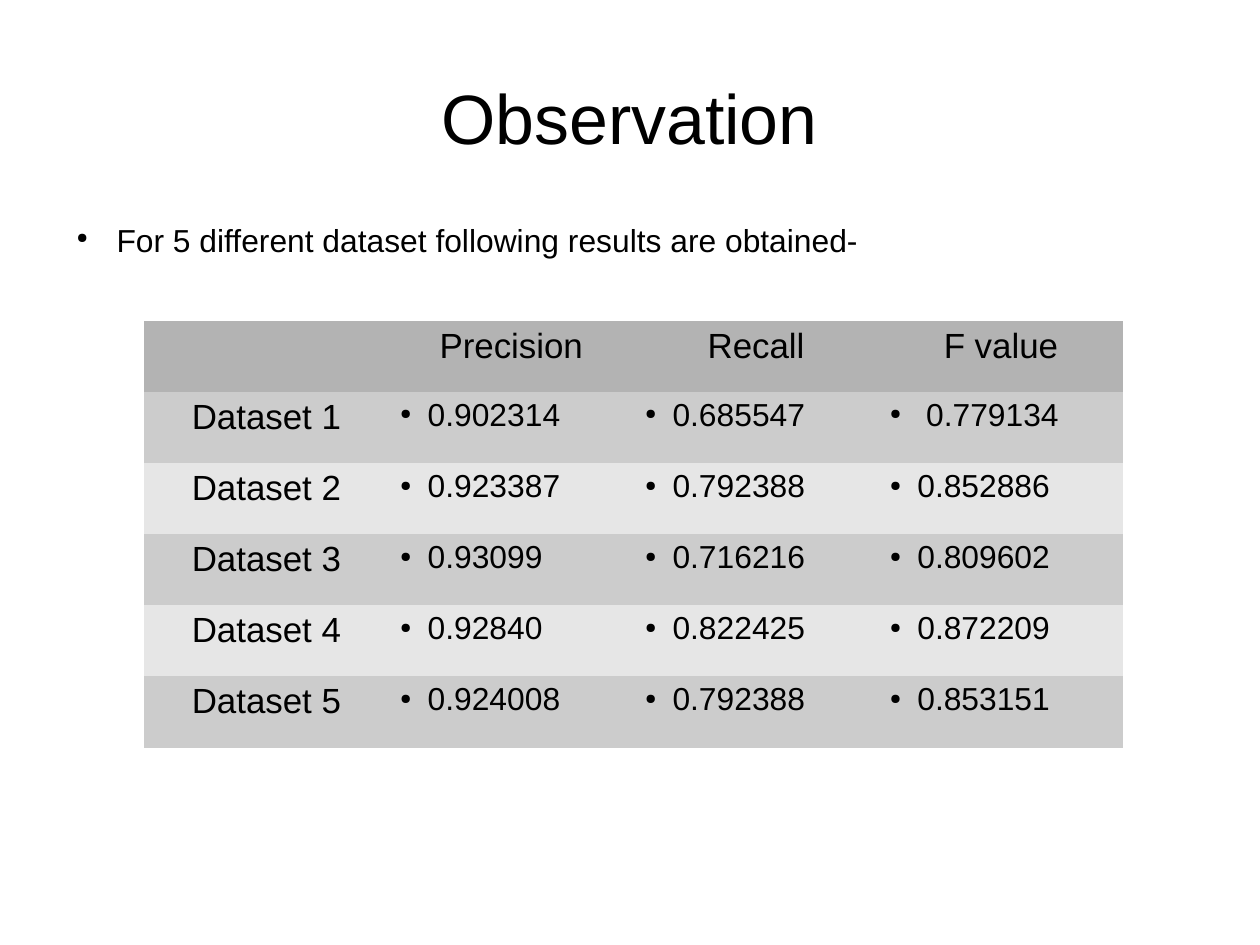
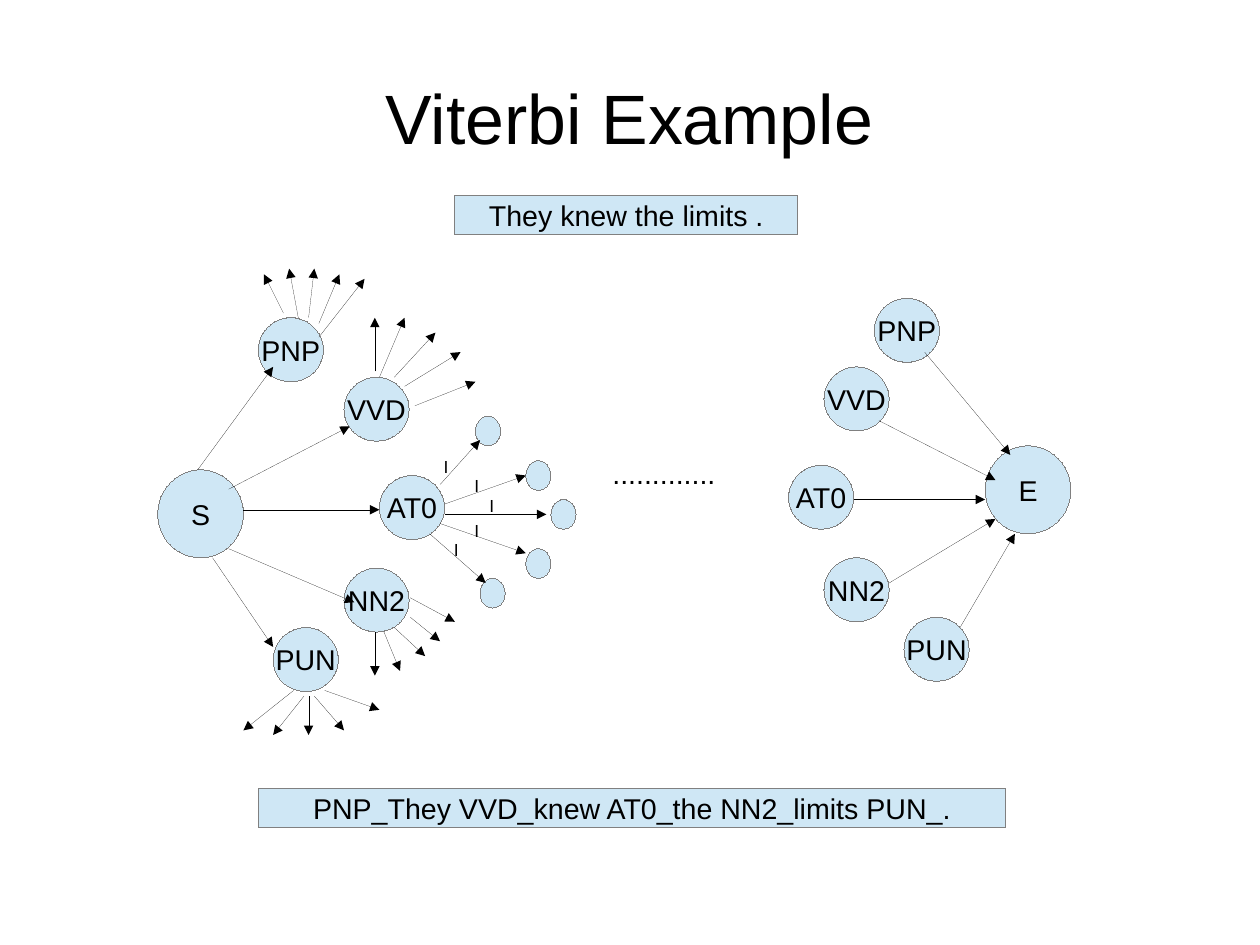
from dataclasses import dataclass

from lxml import etree
from pptx import Presentation
from pptx import util as u
from pptx.dml.color import RGBColor
from pptx.enum import shapes, text
from pptx.oxml.ns import qn

PX = 9144  # 100 px to the inch
WIDE, HIGH = 10080625, 7559675  # slide size in EMU, 28 by 21 cm


@dataclass(frozen=True)
class Theme:
    font: str = "Arial"
    ink: str = "000000"
    edge: str = "808080"
    node: str = "CFE7F5"
    head: str = "B3B3B3"
    bands: tuple = ("CCCCCC", "E6E6E6")
    title: int = 44
    cell: int = 22
    body: int = 20
    label: int = 18
    small: int = 11


T = Theme()
MID = text.PP_ALIGN.CENTER
PLAIN = "{2D5ABB26-0587-4C30-8999-92F81FD0307C}"  # table style without grid

# Slide 1: results
HEADS = ("", "Precision", "Recall", "F value")
ROWS = (
    ("Dataset 1", "0.902314", "0.685547", " 0.779134"),
    ("Dataset 2", "0.923387", "0.792388", "0.852886"),
    ("Dataset 3", "0.93099", "0.716216", "0.809602"),
    ("Dataset 4", "0.92840", "0.822425", "0.872209"),
    ("Dataset 5", "0.924008", "0.792388", "0.853151"),
)

# Slide 2: left and top of each state, start side then end side
TAGS = ("PNP", "VVD", "AT0", "NN2", "PUN")
SIDES = (
    ((226, 278), (301, 330), (332, 416), (301, 497), (239, 549)),
    ((765, 261), (721, 321), (690, 407), (721, 488), (791, 540)),
)
ENDS = (("S", 138, 411), ("E", 862, 390))
DOTS = ((416, 364), (460, 480), (482, 437), (460, 403), (420, 506))
MARKS = ((385, 394), (412, 411), (425, 428), (412, 450), (394, 467))

# Arrows by the node they leave or enter: x1, y1, x2, y2
ARROWS = {
    "S": ((173, 411, 239, 321), (200, 428, 306, 373), (213, 446, 332, 446),
          (200, 480, 310, 527), (186, 488, 239, 566)),
    "E": ((809, 308, 884, 398), (769, 368, 871, 420), (747, 437, 862, 437),
          (778, 510, 871, 454), (840, 549, 888, 467)),
    "PNP": ((248, 274, 231, 240), (261, 278, 253, 235), (270, 278, 275, 235),
            (279, 283, 297, 240), (279, 295, 319, 244)),
    "VVD": ((328, 325, 328, 278), (332, 330, 354, 278), (345, 330, 381, 291),
            (354, 338, 403, 308), (363, 355, 416, 334)),
    "AT0": ((385, 424, 420, 385), (389, 441, 460, 416), (389, 450, 478, 450),
            (385, 458, 460, 484), (376, 467, 425, 510)),
    "NN2": ((359, 523, 398, 544), (359, 540, 385, 561), (345, 549, 372, 574),
            (328, 553, 328, 591), (336, 553, 350, 587)),
    "PUN": ((270, 609, 270, 643), (284, 604, 332, 621), (275, 609, 301, 639),
            (257, 604, 213, 639), (266, 609, 239, 643)),
}


def px(*nums):
    return [u.Emu(n * PX) for n in nums]


def rgb(code):
    return RGBColor.from_string(code)


def write(frame, words, size, align=None):
    par = frame.paragraphs[0]
    par.text = words
    par.alignment = align
    par.font.size = u.Pt(size)
    par.font.name = T.font
    par.font.color.rgb = rgb(T.ink)
    return par


def bullet(par, left, hang):
    props = par._p.get_or_add_pPr()
    props.set("marL", str(left * PX))
    props.set("indent", str(-hang * PX))
    rest = list(props)  # default run settings follow the bullet
    tint = etree.SubElement(props, qn("a:buClr"))
    etree.SubElement(tint, qn("a:srgbClr"), val=T.ink)
    etree.SubElement(props, qn("a:buSzPct"), val="45000")
    etree.SubElement(props, qn("a:buChar"), char="●")
    props.extend(rest)


def label(slide, box, words, size, align=None, inset=True):
    frame = slide.shapes.add_textbox(*px(*box)).text_frame
    frame.word_wrap = True
    if not inset:
        frame.margin_left = frame.margin_right = 0
        frame.margin_top = frame.margin_bottom = 0
    return frame, write(frame, words, size, align)


def page(deck, words):
    slide = deck.slides.add_slide(deck.slide_layouts[6])
    frame, _ = label(slide, (55, 33, 992, 138), words, T.title, MID, False)
    frame.vertical_anchor = text.MSO_ANCHOR.MIDDLE
    return slide


def hairline(shape, color):
    shape.line.color.rgb = rgb(color)
    edge = shape.element.spPr.find(qn("a:ln"))
    edge.set("w", "0")
    return edge


def block(slide, kind, box, words=""):
    shape = slide.shapes.add_shape(kind, *px(*box))
    shape.shadow.inherit = False
    shape.fill.solid()
    shape.fill.fore_color.rgb = rgb(T.node)
    hairline(shape, T.edge)
    if words:
        frame = shape.text_frame
        frame.word_wrap = False
        frame.vertical_anchor = text.MSO_ANCHOR.MIDDLE
        write(frame, words, T.label, MID)


def oval(slide, left, top, wide, high, words=""):
    block(slide, shapes.MSO_SHAPE.OVAL, (left, top, wide, high), words)


def banner(slide, box, words):
    block(slide, shapes.MSO_SHAPE.RECTANGLE, box, words)


def arrow(slide, ends):
    link = slide.shapes.add_connector(shapes.MSO_CONNECTOR.STRAIGHT, *px(*ends))
    etree.SubElement(hairline(link, T.ink), qn("a:tailEnd"), type="triangle")
    etree.SubElement(link.element.spPr, qn("a:effectLst"))


def grid(slide, box, heads, rows):
    frame = slide.shapes.add_table(len(rows) + 1, len(heads), *px(*box))
    for style in frame.element.iter(qn("a:tableStyleId")):
        style.text = PLAIN
    for r, row in enumerate((heads, *rows)):
        for c, words in enumerate(row):
            cell = frame.table.cell(r, c)
            cell.fill.solid()
            cell.fill.fore_color.rgb = rgb(T.bands[(r - 1) % 2] if r else T.head)
            if r and c:
                bullet(write(cell.text_frame, words, T.body), 24, 24)
            else:
                write(cell.text_frame, words, T.cell, MID)


def results(deck):
    slide = page(deck, "Observation")
    _, par = label(slide, (55, 193, 970, 479),
                   "For 5 different dataset following results are obtained-",
                   T.body, inset=False)
    bullet(par, 47, 35)
    grid(slide, (126, 281, 857, 373), HEADS, ROWS)


def viterbi(deck):
    slide = page(deck, "Viterbi Example")
    banner(slide, (398, 171, 300, 34), "They knew the limits .")
    # States
    for name, left, top in ENDS:
        oval(slide, left, top, 75, 77, name)
    for side in SIDES:
        for name, spot in zip(TAGS, side):
            oval(slide, *spot, 57, 56, name)
    for spot in DOTS:
        oval(slide, *spot, 22, 26)
    # Transitions
    for fan in ARROWS.values():
        for ends in fan:
            arrow(slide, ends)
    for spot in MARKS:
        label(slide, (*spot, 13, 30), "I", T.small)
    label(slide, (526, 394, 146, 92), ".............", T.label)
    banner(slide, (226, 690, 654, 34),
           "PNP_They VVD_knew AT0_the NN2_limits PUN_.")


def main():
    deck = Presentation()
    deck.slide_width, deck.slide_height = u.Emu(WIDE), u.Emu(HIGH)
    results(deck)
    viterbi(deck)
    deck.save("out.pptx")


if __name__ == "__main__":
    main()
